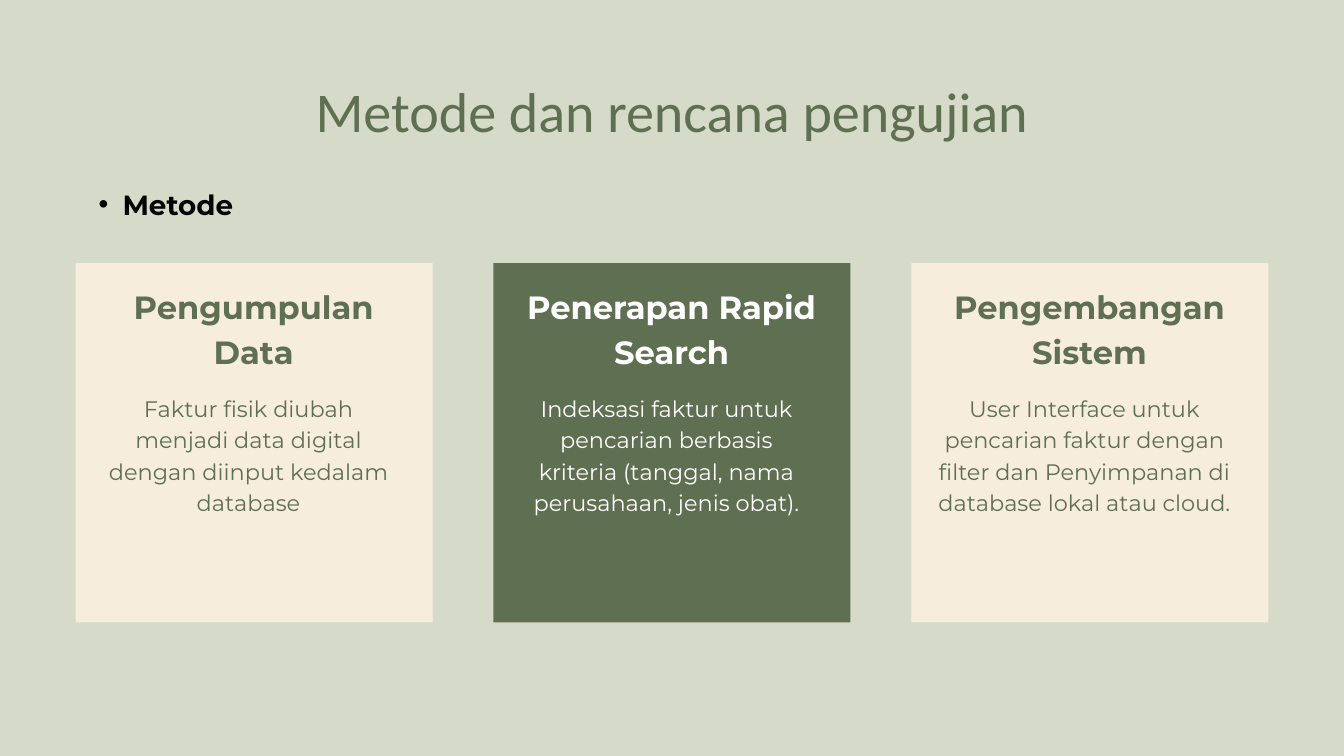
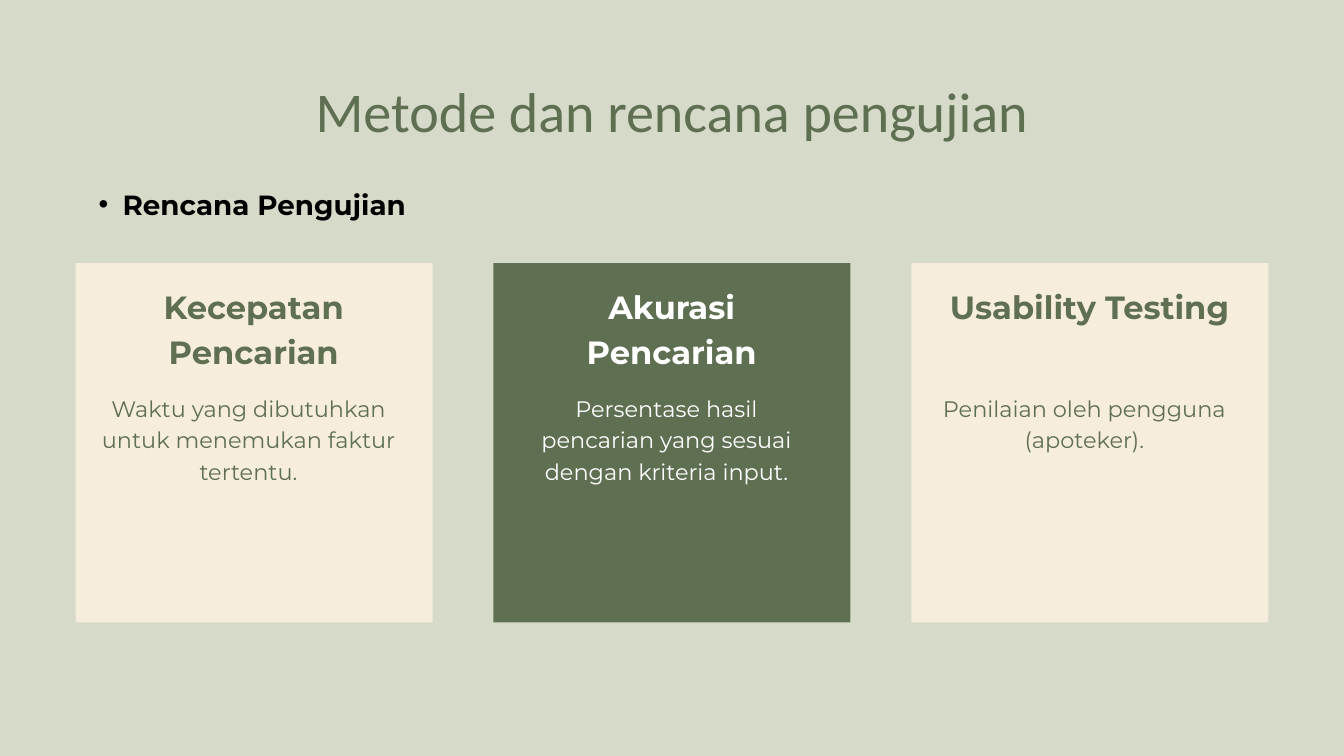
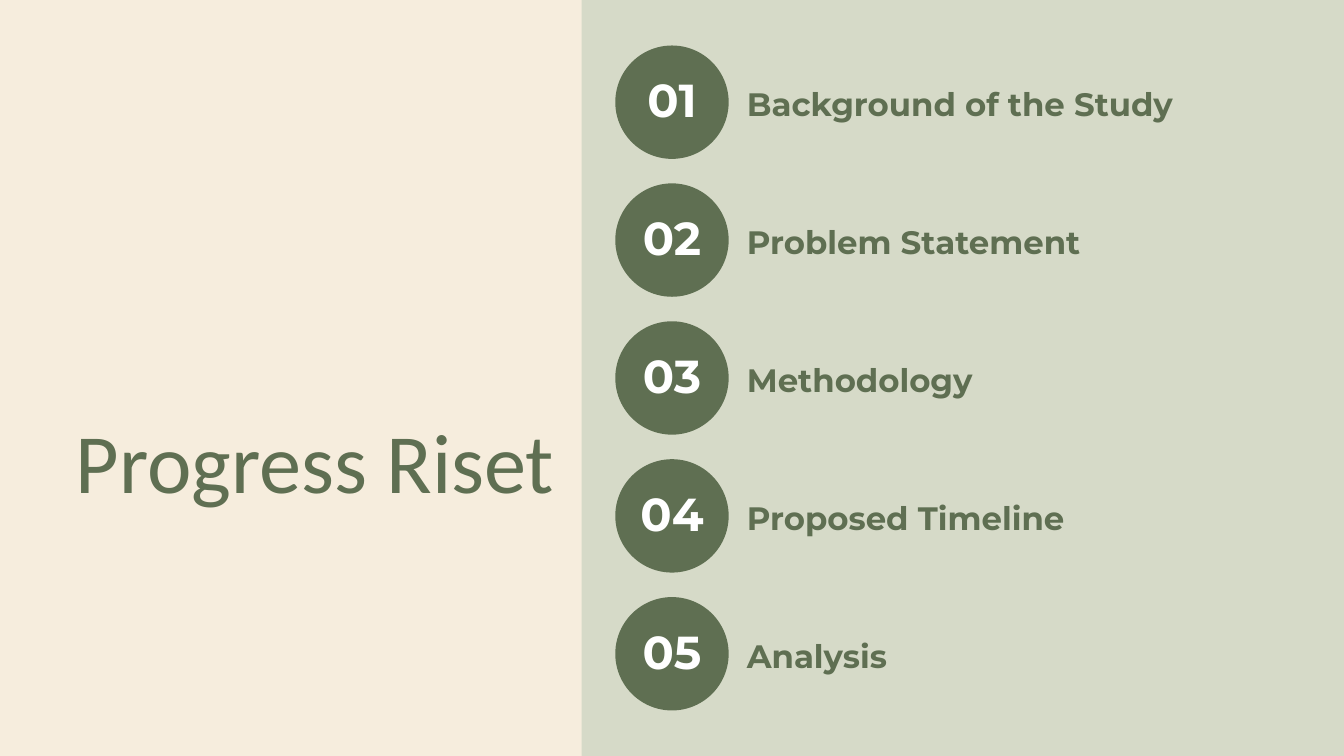
from lxml.etree import SubElement
from pptx import Presentation
from pptx.dml.color import RGBColor
from pptx.enum.shapes import MSO_SHAPE
from pptx.enum.text import MSO_ANCHOR, MSO_AUTO_SIZE, PP_ALIGN
from pptx.oxml.ns import qn
from pptx.util import Emu, Pt

SAGE = RGBColor(0xD6, 0xDA, 0xC8)
CREAM = RGBColor(0xF6, 0xED, 0xDD)
GREEN = RGBColor(0x5F, 0x6F, 0x52)
WHITE = RGBColor(0xFF, 0xFF, 0xFF)
BLACK = RGBColor(0x00, 0x00, 0x00)

TITLE_FONT = "Calibri"
BODY_FONT = "Montserrat"
TITLE_ONLY = 5

# Page and card grid, in px
WIDTH, HEIGHT = 1920, 1080
MARGIN = 108
CONTENT_WIDTH = WIDTH - 2 * MARGIN
CARD_TOP, CARD_WIDTH, CARD_HEIGHT = 376, 510, 513
CARD_STEP = (CONTENT_WIDTH - CARD_WIDTH) // 2
CARD_PADDING = 37

# Agenda column, in px
PANEL_LEFT = 831
CIRCLE_LEFT, CIRCLE_TOP, CIRCLE_SIZE, CIRCLE_STEP = 879, 65, 162, 197
LABEL_LEFT = 1067

METHOD_SLIDES = [
    ("Metode", [
        ("Pengumpulan Data",
         "Faktur fisik diubah menjadi data digital dengan diinput kedalam database"),
        ("Penerapan Rapid Search",
         "Indeksasi faktur untuk pencarian berbasis kriteria "
         "(tanggal, nama perusahaan, jenis obat)."),
        ("Pengembangan Sistem",
         "User Interface untuk pencarian faktur dengan filter dan "
         "Penyimpanan di database lokal atau cloud."),
    ]),
    ("Rencana Pengujian", [
        ("Kecepatan Pencarian",
         "Waktu yang dibutuhkan untuk menemukan faktur tertentu."),
        ("Akurasi Pencarian",
         "Persentase hasil pencarian yang sesuai dengan kriteria input."),
        ("Usability Testing",
         "Penilaian oleh pengguna (apoteker)."),
    ]),
]
AGENDA = ["Background of the Study", "Problem Statement", "Methodology",
          "Proposed Timeline", "Analysis"]


def px(length):
    return Emu(length * 9525)


def write_text(shape, text, *, size, leading, font=BODY_FONT, color=GREEN,
               bold=False, align=PP_ALIGN.LEFT, anchor=MSO_ANCHOR.TOP,
               inset=0, bullet=False):
    """Put one formatted paragraph into a shape."""
    frame = shape.text_frame
    frame.word_wrap = True
    frame.auto_size = MSO_AUTO_SIZE.NONE
    frame.vertical_anchor = anchor
    frame.margin_left = frame.margin_right = px(inset)
    frame.margin_top = frame.margin_bottom = px(inset)
    paragraph = frame.paragraphs[0]
    paragraph.alignment = align
    paragraph.line_spacing = Pt(leading)
    run = paragraph.add_run()
    run.text = text
    run.font.name = font
    run.font.size = Pt(size)
    run.font.bold = bold
    run.font.color.rgb = color
    if bullet:
        paragraph.level = 1
        properties = paragraph._p.get_or_add_pPr()
        properties.set("marL", str(px(67)))
        properties.set("indent", str(px(-34)))
        SubElement(properties, qn("a:buFont"), typeface="Arial")
        SubElement(properties, qn("a:buChar"), char="•")


class Deck:
    """Holds the shared style and the slide being built."""

    def __init__(self):
        self.presentation = Presentation()
        self.presentation.slide_width = px(WIDTH)
        self.presentation.slide_height = px(HEIGHT)
        self.slide = None

    def new_slide(self, background):
        layout = self.presentation.slide_layouts[TITLE_ONLY]
        self.slide = self.presentation.slides.add_slide(layout)
        fill = self.slide.background.fill
        fill.solid()
        fill.fore_color.rgb = background

    def title(self, text, left, top, width, height, **text_format):
        title = self.slide.shapes.title
        title.left, title.top = px(left), px(top)
        title.width, title.height = px(width), px(height)
        write_text(title, text, font=TITLE_FONT, **text_format)

    def text(self, text, left, top, width, height, **text_format):
        box = self.slide.shapes.add_textbox(px(left), px(top), px(width), px(height))
        write_text(box, text, **text_format)

    def block(self, kind, left, top, width, height, color):
        shape = self.slide.shapes.add_shape(
            kind, px(left), px(top), px(width), px(height))
        shape.shadow.inherit = False
        shape.fill.solid()
        shape.fill.fore_color.rgb = color
        shape.line.fill.background()

    def card(self, column, heading, body):
        highlighted = column == 1
        color = WHITE if highlighted else GREEN
        left = MARGIN + column * CARD_STEP
        self.block(MSO_SHAPE.RECTANGLE, left, CARD_TOP, CARD_WIDTH, CARD_HEIGHT,
                   GREEN if highlighted else CREAM)
        self.text(heading, left + CARD_PADDING, CARD_TOP + 26, 435, 127, size=34.4,
                  leading=48.1, color=color, bold=True, align=PP_ALIGN.CENTER)
        self.text(body, left + CARD_PADDING, CARD_TOP + 182, 420, 175, size=24,
                  leading=33.6, color=color, align=PP_ALIGN.CENTER)

    def agenda_item(self, row, label):
        top = CIRCLE_TOP + row * CIRCLE_STEP
        self.block(MSO_SHAPE.OVAL, CIRCLE_LEFT, top, CIRCLE_SIZE, CIRCLE_SIZE, GREEN)
        self.text(f"{row + 1:02}", CIRCLE_LEFT + 15, top - 6, CIRCLE_SIZE - 30, 153,
                  size=49.5, leading=69.3, color=WHITE, bold=True,
                  align=PP_ALIGN.CENTER, anchor=MSO_ANCHOR.MIDDLE, inset=6)
        self.text(label, LABEL_LEFT, top + 46, WIDTH - MARGIN - LABEL_LEFT, 61,
                  size=34.7, leading=48.6, bold=True)


def main():
    deck = Deck()

    # Method and test plan
    for subject, cards in METHOD_SLIDES:
        deck.new_slide(SAGE)
        deck.title("Metode dan rencana pengujian", MARGIN, 108, CONTENT_WIDTH, 95,
                   size=60.1, leading=72.7, align=PP_ALIGN.CENTER)
        deck.text(subject, MARGIN, 260, CONTENT_WIDTH, 53, size=29.7, leading=41.6,
                  color=BLACK, bold=True, bullet=True)
        for column, (heading, body) in enumerate(cards):
            deck.card(column, heading, body)

    # Research progress agenda
    deck.new_slide(CREAM)
    deck.block(MSO_SHAPE.RECTANGLE, PANEL_LEFT, 0, WIDTH - PANEL_LEFT, HEIGHT, SAGE)
    deck.title("Progress Riset", MARGIN, 583, 699, 290, size=90.3, leading=109.3)
    for row, label in enumerate(AGENDA):
        deck.agenda_item(row, label)

    deck.presentation.save("out.pptx")


if __name__ == "__main__":
    main()
